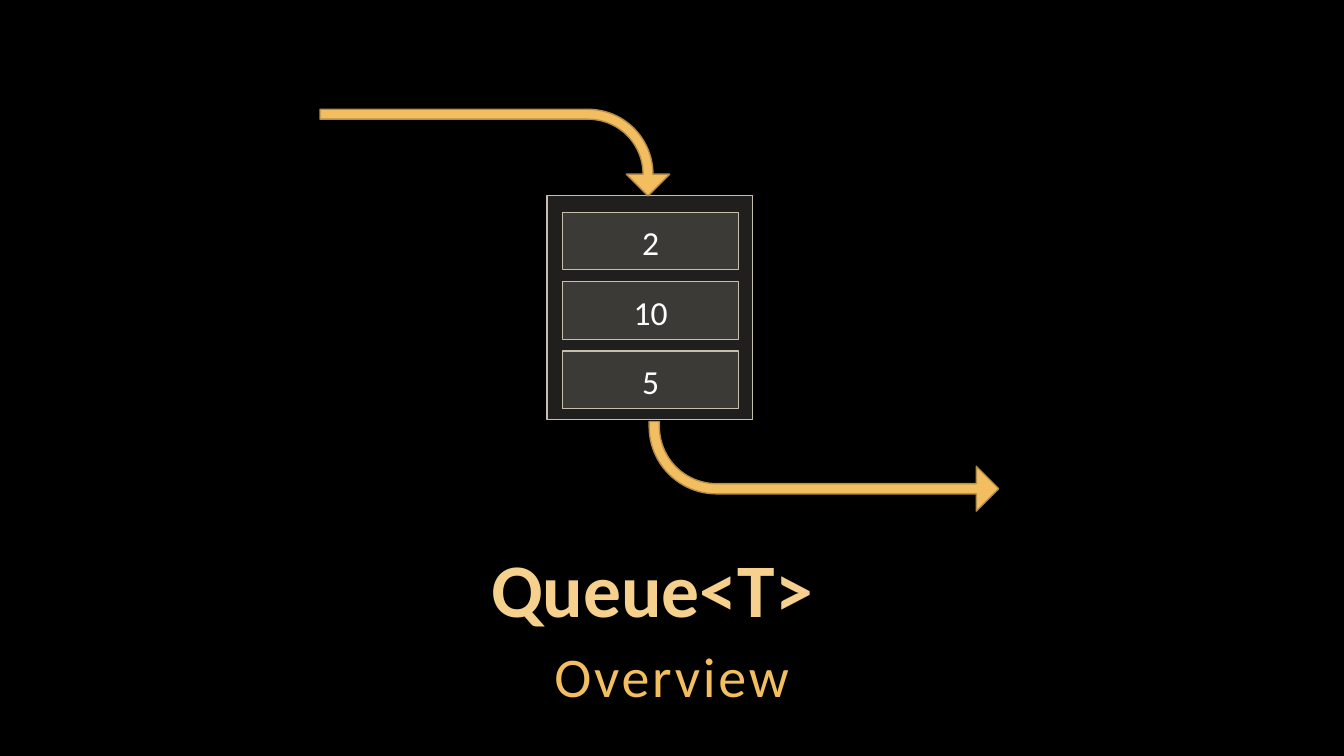
import pptx
import pptx.util
import pptx.dml.color
import pptx.enum.shapes
import pptx.enum.text
import pptx.oxml
import pptx.oxml.ns

Cm, Pt = pptx.util.Cm, pptx.util.Pt
Kind = pptx.enum.shapes.MSO_SHAPE
Anchor = pptx.enum.text.MSO_ANCHOR
HUES = {"back": "000000", "title": "F6D18E", "gold": "F3BE60", "rim": "B48D47",
        "box": "D9D5C7", "edge": "C7BFAC", "text": "FFFFFF"}


def hue(name):
    return pptx.dml.color.RGBColor.from_string(HUES[name])


def apply(item, values):
    for key, value in values.items():
        setattr(item, key, value)


class Deck:
    """Holds the style and the current slide."""

    font = "Calibri"

    def __init__(self, show):
        self.slide = show.slides.add_slide(show.slide_layouts[5])
        fill = self.slide.background.fill
        fill.solid()
        fill.fore_color.rgb = hue("back")

    def words(self, shape, text, size, color, pad=(0.1, 0.1), anchor=Anchor.TOP,
              bold=False, track=0, **para):
        frame = shape.text_frame
        side, edge = map(Cm, pad)
        apply(frame, {"word_wrap": True, "auto_size": pptx.enum.text.MSO_AUTO_SIZE.NONE,
                      "vertical_anchor": anchor, "margin_left": side, "margin_right": side,
                      "margin_top": edge, "margin_bottom": edge})
        line = frame.paragraphs[0]
        apply(line, {"alignment": pptx.enum.text.PP_ALIGN.CENTER, **para})
        run = line.add_run()
        run.text = text
        apply(run.font, {"name": self.font, "size": Pt(size), "bold": bold})
        run.font.color.rgb = hue(color)
        if track:
            run.font._element.set("spc", str(track * 100))

    def title(self, box, text, **style):
        shape = self.slide.shapes.title
        apply(shape, dict(zip(("left", "top", "width", "height"), map(Cm, box))))
        self.words(shape, text, **style)

    def label(self, box, text, **style):
        self.words(self.slide.shapes.add_textbox(*map(Cm, box)), text, **style)

    def shape(self, kind, box, fill, line):
        shape = self.slide.shapes.add_shape(kind, *map(Cm, box))
        shape.shadow.inherit = False
        shape.fill.solid()
        shape.fill.fore_color.rgb = hue(fill)
        shape.line.color.rgb = hue(line)
        shape.line.width = Pt(1)
        return shape

    def panel(self, box, alpha=15):
        shape = self.shape(Kind.RECTANGLE, box, "box", "edge")
        tint = shape._element.spPr.find(".//" + pptx.oxml.ns.qn("a:srgbClr"))
        node = pptx.oxml.parse_xml(f'<a:alpha {pptx.oxml.ns.nsdecls("a")} val="{alpha * 1000}"/>')
        tint.append(node)
        return shape

    def arrow(self, box, turn, flip=False):
        shape = self.shape(Kind.BENT_ARROW, box, "gold", "rim")
        for spot, value in enumerate((0.114, 0.25, 0.25, 0.75)):
            shape.adjustments[spot] = value
        shape.rotation = turn
        if flip:
            shape._element.spPr.find(pptx.oxml.ns.qn("a:xfrm")).set("flipH", "1")


def main():
    show = pptx.Presentation()
    apply(show, {"slide_width": Cm(33.87), "slide_height": Cm(19.05)})
    deck = Deck(show)
    deck.title((4.01, 13.77, 24.84, 2.29), "Queue<T>", size=54, color="title",
               anchor=Anchor.BOTTOM, bold=True, line_spacing=0.9)
    deck.label((2.54, 15.98, 28.78, 2.01), "Overview", size=40, color="gold",
               track=2, line_spacing=1.05, space_after=Pt(6))
    deck.panel((13.79, 4.93, 5.18, 5.64))
    for row, text in enumerate(("2", "10", "5")):
        cell = deck.panel((14.17, 5.35 + row * 1.75, 4.45, 1.45))
        deck.words(cell, text, size=24, color="text", pad=(0.5, 0.25))
    deck.arrow((11.38, -0.56, 2.18, 8.81), 90)
    deck.arrow((16.36, 10.62, 8.81, 2.26), 180, flip=True)
    show.save("out.pptx")


if __name__ == "__main__":
    main()
